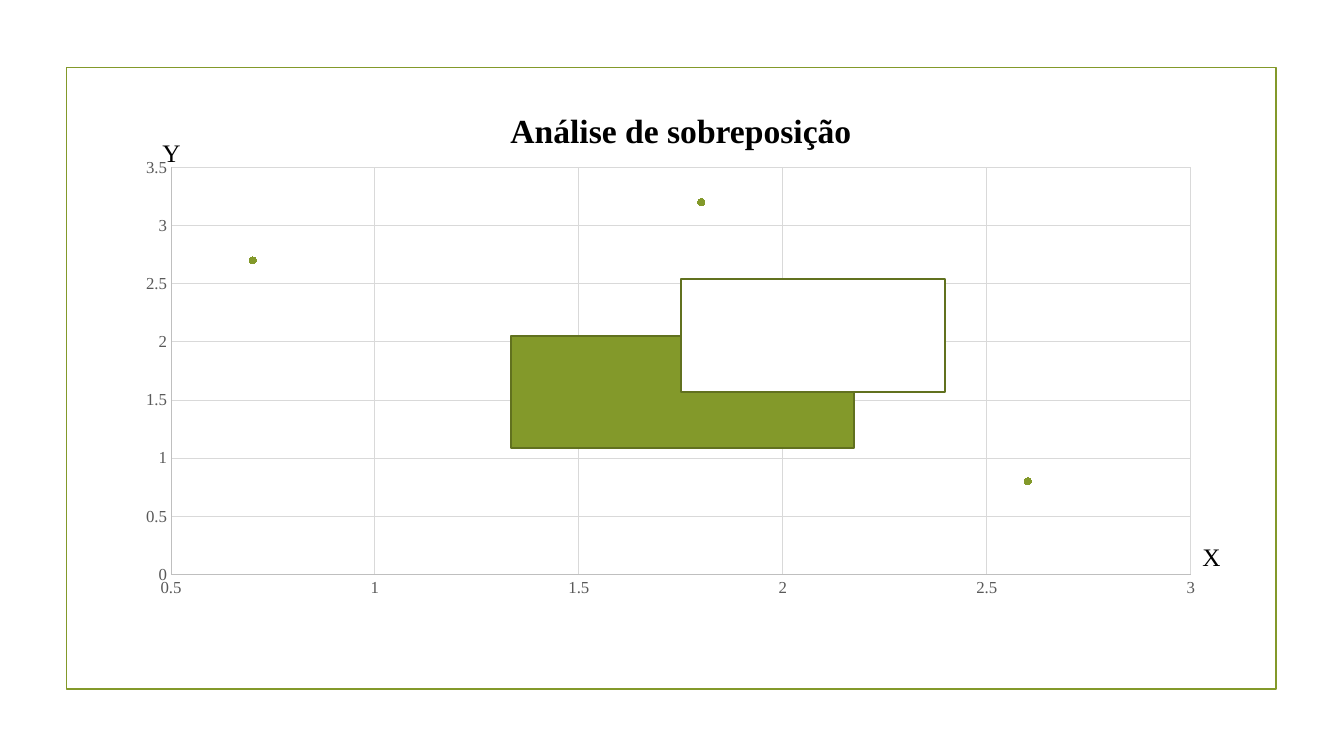
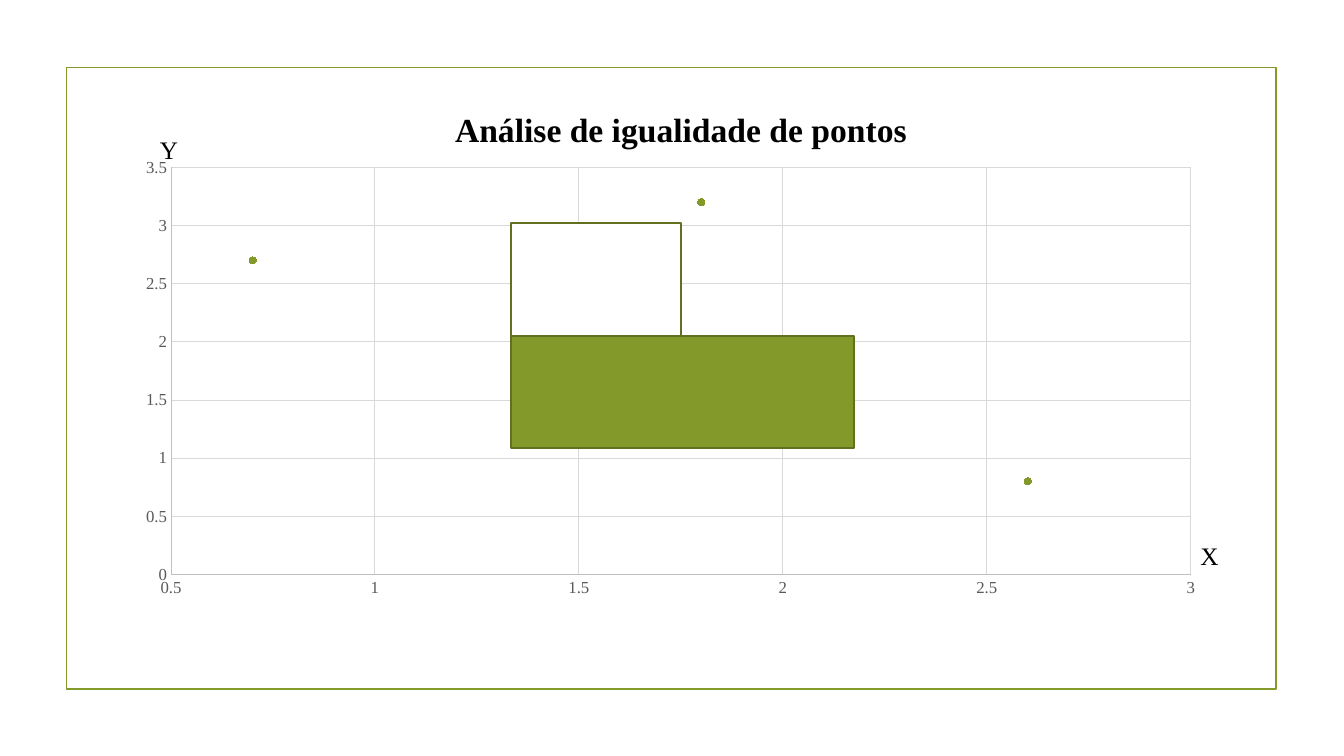
from lxml import etree
from pptx import Presentation
from pptx.chart.data import XyChartData
from pptx.dml.color import RGBColor
from pptx.enum.chart import XL_CHART_TYPE, XL_MARKER_STYLE, XL_TICK_MARK
from pptx.enum.shapes import MSO_SHAPE
from pptx.enum.text import MSO_ANCHOR, MSO_AUTO_SIZE, PP_ALIGN
from pptx.oxml.ns import qn
from pptx.util import Cm, Pt

BLACK = RGBColor(0x00, 0x00, 0x00)
WHITE = RGBColor(0xFF, 0xFF, 0xFF)
GREEN = RGBColor(0x83, 0x99, 0x2A)
DARK_GREEN = RGBColor(0x61, 0x71, 0x1F)
TICK_GRAY = RGBColor(0x59, 0x59, 0x59)
AXIS_GRAY = RGBColor(0xBF, 0xBF, 0xBF)
GRID_GRAY = RGBColor(0xD9, 0xD9, 0xD9)

SCATTER = XL_CHART_TYPE.XY_SCATTER
CIRCLE = XL_MARKER_STYLE.CIRCLE
NO_TICK = XL_TICK_MARK.NONE
RECTANGLE = MSO_SHAPE.RECTANGLE
TOP = MSO_ANCHOR.TOP
CENTER = PP_ALIGN.CENTER
FIT_SHAPE = MSO_AUTO_SIZE.SHAPE_TO_FIT_TEXT
NO_FIT = MSO_AUTO_SIZE.NONE

FONT = "Times New Roman"
TITLE_ONLY = 5
FRAME = (1.68, 1.7, 30.48, 15.67)
CHART = (3.12, 3.76, 27.53, 11.4)
PLOT = (4.31, 4.22, 25.7, 10.26)
POINTS = [(0.7, 2.7), (1.8, 3.2), (2.6, 0.8)]
BOX_HEIGHT = 2.84
GREEN_BOX = (12.88, 8.46, 8.64, BOX_HEIGHT)

SLIDES = [
    {
        "title": "Análise de sobreposição",
        "title_top": 2.64,
        "white_box": (17.17, 7.04, 6.65, BOX_HEIGHT),
        "labels": [("Y", 3.84, 3.33), ("X", 30.05, 13.51)],
    },
    {
        "title": "Análise de igualidade de pontos",
        "title_top": 2.62,
        "white_box": (12.88, 8.46 - BOX_HEIGHT, 4.29, BOX_HEIGHT),
        "labels": [("Y", 3.78, 3.25), ("X", 30, 13.49)],
    },
]


class Deck:
    def __init__(self):
        self.presentation = Presentation()
        self.presentation.slide_width = Cm(33.87)
        self.presentation.slide_height = Cm(19.05)
        self.slide = None

    def add_slide(self):
        layout = self.presentation.slide_layouts[TITLE_ONLY]
        self.slide = self.presentation.slides.add_slide(layout)
        self.add_box(FRAME, None, GREEN)

    def style_font(self, font, size, color=BLACK, bold=False):
        font.name = FONT
        font.size = Pt(size)
        font.bold = bold
        font.color.rgb = color

    def style_line(self, line, color, width):
        line.color.rgb = color
        line.width = Pt(width)

    def add_title(self, text, top):
        title = self.slide.shapes.title
        title.left, title.top = Cm(9.16), Cm(top)
        title.width, title.height = Cm(16), Cm(1.28)
        frame = title.text_frame
        frame.text = text
        frame.auto_size = NO_FIT
        frame.vertical_anchor = TOP
        paragraph = frame.paragraphs[0]
        paragraph.alignment = CENTER
        self.style_font(paragraph.runs[0].font, 24, bold=True)

    def add_box(self, position, fill, outline):
        box = self.slide.shapes.add_shape(RECTANGLE, *map(Cm, position))
        box.shadow.inherit = False
        if fill is None:
            box.fill.background()
        else:
            box.fill.solid()
            box.fill.fore_color.rgb = fill
        self.style_line(box.line, outline, 1.25)

    def add_label(self, text, left, top):
        label = self.slide.shapes.add_textbox(Cm(left), Cm(top), Cm(0.95), Cm(1.02))
        frame = label.text_frame
        frame.word_wrap = False
        frame.auto_size = FIT_SHAPE
        frame.text = text
        self.style_font(frame.paragraphs[0].runs[0].font, 18)

    def add_scatter(self):
        data = XyChartData()
        series_data = data.add_series("Series 1")
        for x, y in POINTS:
            series_data.add_data_point(x, y)
        chart = self.slide.shapes.add_chart(SCATTER, *map(Cm, CHART), data).chart
        chart.has_title = False
        chart.has_legend = False
        self.style_font(chart.font, 10)
        plot = chart.plots[0]
        plot.vary_by_categories = False
        series = plot.series[0]
        series.format.line.fill.background()
        series.marker.style = CIRCLE
        series.marker.size = 5
        marker_format = series.marker.format
        marker_format.fill.solid()
        marker_format.fill.fore_color.rgb = GREEN
        self.style_line(marker_format.line, GREEN, 0.75)
        self.style_axis(chart.category_axis, 0.5, 3)
        self.style_axis(chart.value_axis, 0, 3.5)
        self.place_plot(chart)

    def style_axis(self, axis, minimum, maximum):
        axis.minimum_scale = minimum
        axis.maximum_scale = maximum
        axis.major_unit = 0.5
        axis.major_tick_mark = NO_TICK
        axis.minor_tick_mark = NO_TICK
        axis.has_major_gridlines = True
        self.style_line(axis.major_gridlines.format.line, GRID_GRAY, 0.75)
        self.style_line(axis.format.line, AXIS_GRAY, 0.75)
        self.style_font(axis.tick_labels.font, 12, TICK_GRAY)

    def place_plot(self, chart):
        area = chart.element.find(".//" + qn("c:plotArea"))
        for layout in area.findall(qn("c:layout")):
            area.remove(layout)
        layout = etree.Element(qn("c:layout"))
        area.insert(0, layout)
        manual = etree.SubElement(layout, qn("c:manualLayout"))
        left, top, width, height = CHART
        plot_left, plot_top, plot_width, plot_height = PLOT
        settings = {
            "layoutTarget": "inner",
            "xMode": "edge",
            "yMode": "edge",
            "x": (plot_left - left) / width,
            "y": (plot_top - top) / height,
            "w": plot_width / width,
            "h": plot_height / height,
        }
        for name, value in settings.items():
            etree.SubElement(manual, qn(f"c:{name}")).set("val", str(value))


def main():
    deck = Deck()
    for content in SLIDES:
        deck.add_slide()
        deck.add_scatter()
        deck.add_box(GREEN_BOX, GREEN, DARK_GREEN)
        deck.add_title(content["title"], content["title_top"])
        deck.add_box(content["white_box"], WHITE, DARK_GREEN)
        for text, left, top in content["labels"]:
            deck.add_label(text, left, top)
    deck.presentation.save("out.pptx")


if __name__ == "__main__":
    main()
